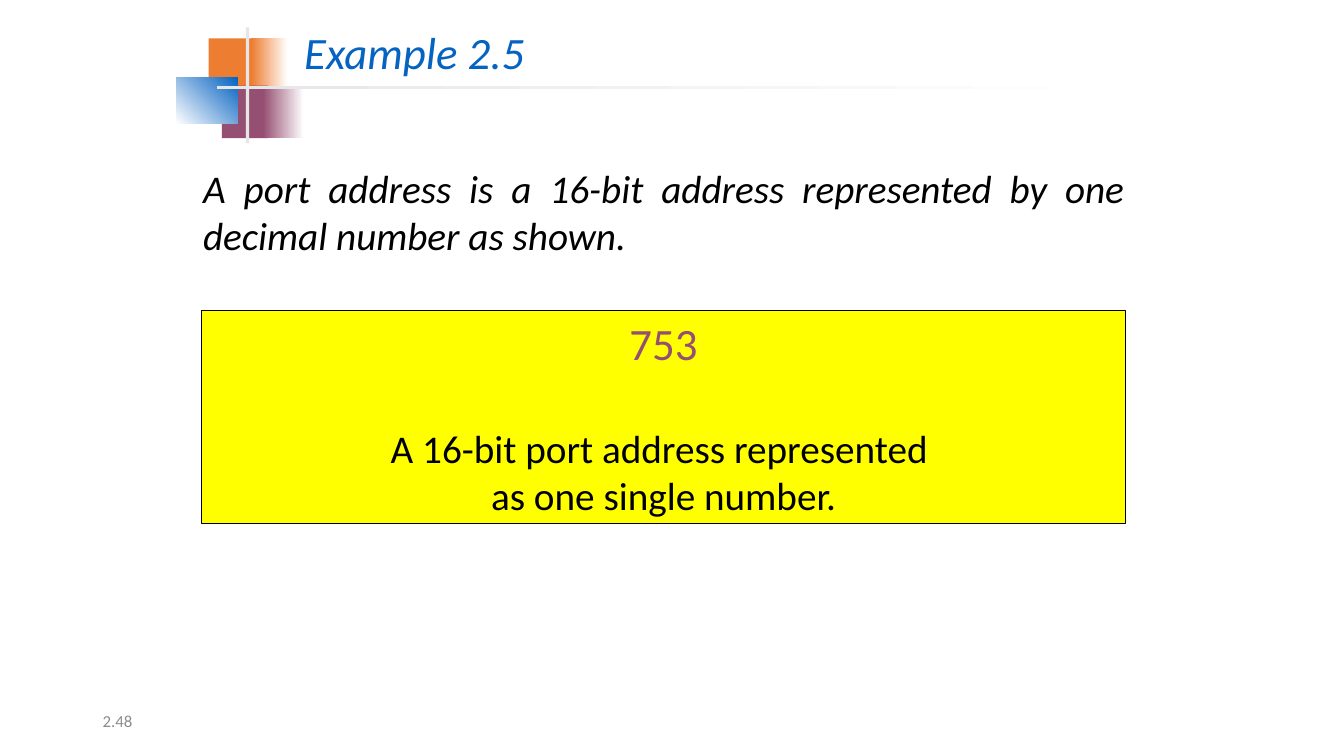
"""Build the Example 2.5 slide about a 16-bit port address."""
from pptx import Presentation
from pptx.dml.color import RGBColor
from pptx.enum import shapes, text
from pptx.util import Pt

COLORS = {
    "orange": "ED7D31", "plum": "954F72", "blue": "0563C1", "silver": "E7E6E6",
    "yellow": "FFFF00", "white": "FFFFFF", "black": "000000", "gray": "8C8C8C",
}


def add_box(left, top, width, height, start, end=None, angle=0):
    sp = s.shapes.add_shape(shapes.MSO_SHAPE.RECTANGLE, Pt(left), Pt(top), Pt(width), Pt(height))
    sp.shadow.inherit = False
    sp.line.fill.background()
    if end:
        sp.fill.gradient()
        sp.fill.gradient_angle = angle
        for stop, name, position in zip(sp.fill.gradient_stops, (start, end), (0, 1)):
            stop.color.rgb = RGBColor.from_string(COLORS[name])
            stop.position = position
    else:
        sp.fill.solid()
        sp.fill.fore_color.rgb = RGBColor.from_string(COLORS[start])
    return sp


def add_run(p, words, size, color, italic=False):
    r = p.add_run()
    r.text = words
    r.font.name = "Calibri"
    r.font.size = Pt(size)
    r.font.italic = italic
    r.font.color.rgb = RGBColor.from_string(COLORS[color])


prs = Presentation()
prs.slide_width, prs.slide_height = Pt(960), Pt(540)
s = prs.slides.add_slide(prs.slide_layouts[6])

for left, top, width, height, *paint in [
    (149, 27.5, 34.5, 37.5, "orange"),
    (179.5, 27.5, 26, 37.5, "orange", "white"),
    (158.5, 61.2, 33, 37.5, "plum"),
    (188, 61.2, 29, 37.5, "plum", "white"),
    (126, 55.4, 44, 33, "white", "blue", 45),
    (175.7, 19.5, 2.3, 82.8, "silver"),
    (154.8, 61.2, 648, 2.3, "silver", "white"),
]:
    add_box(left, top, width, height, *paint)

for left, top, width, height, words, size, color, italic, align, anchor, wrap in [
    (66.2, 500.5, 216, 28.8, "2.48", 12, "gray", False,
     text.PP_ALIGN.LEFT, text.MSO_ANCHOR.MIDDLE, True),
    (210.2, 14.4, 180, 45.4, "Example 2.5", 32, "blue", True,
     text.PP_ALIGN.LEFT, text.MSO_ANCHOR.TOP, False),
    (138, 114, 672, 74.2,
     "A port address is a 16-bit address represented by one decimal number as shown.",
     28, "black", True, text.PP_ALIGN.JUSTIFY, text.MSO_ANCHOR.TOP, True),
]:
    tf = s.shapes.add_textbox(Pt(left), Pt(top), Pt(width), Pt(height)).text_frame
    tf.word_wrap = wrap
    tf.vertical_anchor = anchor
    p = tf.paragraphs[0]
    p.alignment = align
    add_run(p, words, size, color, italic)

answer = add_box(144, 222, 660, 152, "yellow")
answer.line.color.rgb = RGBColor.from_string(COLORS["black"])
answer.line.width = Pt(0.75)
tf = answer.text_frame
tf.word_wrap = True
tf.vertical_anchor = text.MSO_ANCHOR.TOP
p = tf.paragraphs[0]
p.alignment = text.PP_ALIGN.CENTER
p.space_after = Pt(39)
add_run(p, "753", 32, "plum")
p = tf.add_paragraph()
p.alignment = text.PP_ALIGN.CENTER
add_run(p, "A 16-bit port address represented ", 28, "black")
p.add_line_break()
add_run(p, "as one single number.", 28, "black")

prs.save("out.pptx")
